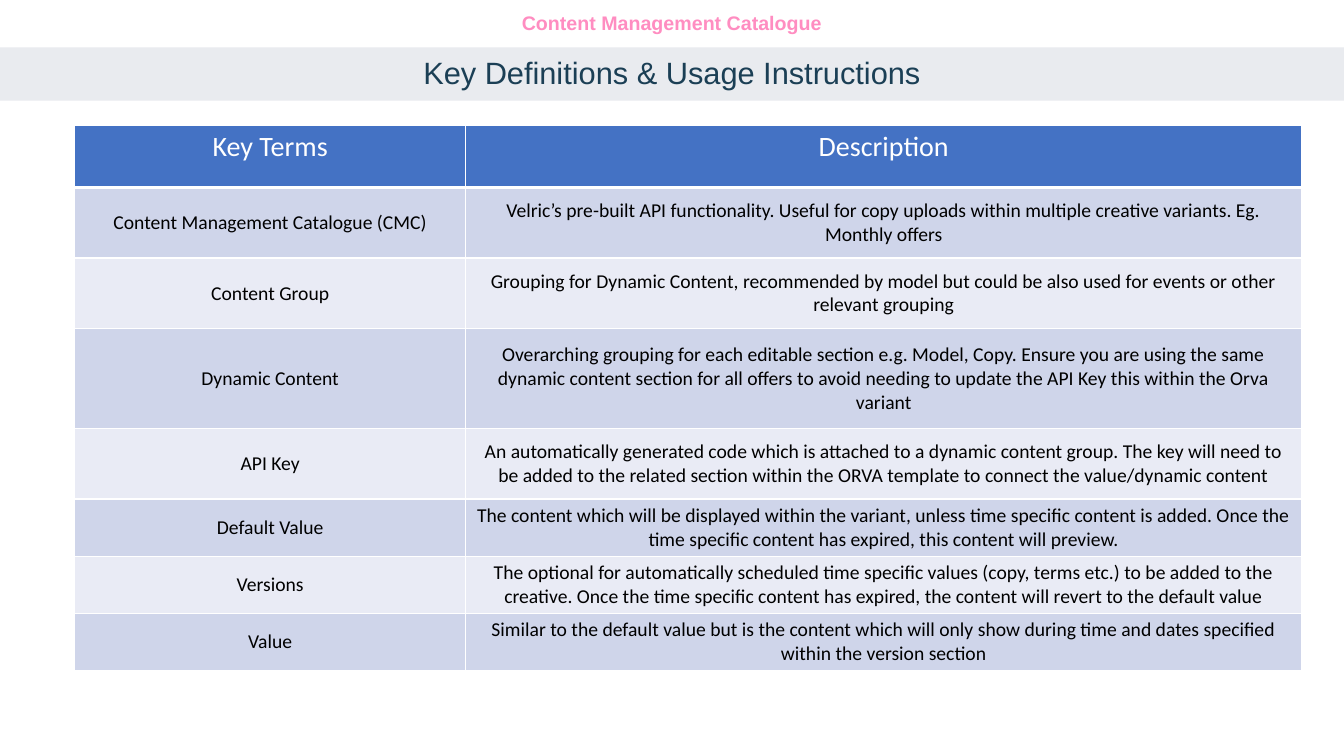
from lxml.etree import SubElement
from pptx import Presentation
from pptx.dml.color import RGBColor
from pptx.enum.shapes import MSO_SHAPE
from pptx.enum.text import MSO_ANCHOR, PP_ALIGN
from pptx.oxml.ns import qn
from pptx.util import Inches, Pt

DEFINITIONS = [
    ("Content Management Catalogue (CMC)",
     "Velric’s pre-built API functionality. Useful for copy uploads within multiple "
     "creative variants. Eg. Monthly offers"),
    ("Content Group",
     "Grouping for Dynamic Content, recommended by model but could be also used for "
     "events or other relevant grouping"),
    ("Dynamic Content",
     "Overarching grouping for each editable section e.g. Model, Copy. Ensure you are "
     "using the same dynamic content section for all offers to avoid needing to update "
     "the API Key this within the Orva variant"),
    ("API Key",
     "An automatically generated code which is attached to a dynamic content group. The "
     "key will need to be added to the related section within the ORVA template to "
     "connect the value/dynamic content"),
    ("Default Value",
     "The content which will be displayed within the variant, unless time specific "
     "content is added. Once the time specific content has expired, this content will "
     "preview."),
    ("Versions",
     "The optional for automatically scheduled time specific values (copy, terms etc.) "
     "to be added to the creative. Once the time specific content has expired, the "
     "content will revert to the default value"),
    ("Value",
     "Similar to the default value but is the content which will only show during time "
     "and dates specified within the version section"),
]


def color(code):
    return RGBColor.from_string(code)


class CatalogueSlide:
    heading_font = "Arial"
    table_font = "Calibri"
    white = "FFFFFF"
    header_fill = "4472C4"
    row_fills = ("CFD5EA", "E9EBF5")

    def __init__(self, deck):
        self.slide = deck.slides.add_slide(deck.slide_layouts[6])

    def centred_text(self, frame, words, font, size, ink, bold=False):
        paragraph = frame.paragraphs[0]
        paragraph.alignment = PP_ALIGN.CENTER
        run = paragraph.add_run()
        run.text = words
        run.font.name = font
        run.font.size = Pt(size)
        run.font.bold = bold
        run.font.color.rgb = color(ink)
        return paragraph

    def band(self, top, height, fill):
        strip = self.slide.shapes.add_shape(
            MSO_SHAPE.RECTANGLE, 0, Inches(top), Inches(13.33), Inches(height))
        strip.shadow.inherit = False
        strip.fill.solid()
        strip.fill.fore_color.rgb = color(fill)
        strip.line.fill.background()

    def heading(self, words, top, height, size, ink, bold=False):
        box = self.slide.shapes.add_textbox(0, Inches(top), Inches(13.33), Inches(height))
        frame = box.text_frame
        frame.word_wrap = True
        frame.vertical_anchor = MSO_ANCHOR.MIDDLE
        paragraph = self.centred_text(frame, words, self.heading_font, size, ink, bold)
        paragraph.line_spacing = 0.9

    def cell(self, cell, words, size, ink, fill, anchor, bottom):
        properties = cell._tc.get_or_add_tcPr()
        for side, points in (("L", 1), ("R", 1), ("T", 1), ("B", bottom)):
            border = SubElement(properties, qn(f"a:ln{side}"), w=str(Pt(points)))
            paint = SubElement(border, qn("a:solidFill"))
            SubElement(paint, qn("a:srgbClr"), val=self.white)
        cell.fill.solid()
        cell.fill.fore_color.rgb = color(fill)
        cell.vertical_anchor = anchor
        self.centred_text(cell.text_frame, words, self.table_font, size, ink)

    def table(self, header, rows, left, top, widths, heights):
        grid = self.slide.shapes.add_table(
            len(heights), len(widths), Inches(left), Inches(top),
            Inches(sum(widths)), Inches(sum(heights))).table
        for column, width in zip(grid.columns, widths):
            column.width = Inches(width)
        for row, height in zip(grid.rows, heights):
            row.height = Inches(height)
        for column, words in enumerate(header):
            self.cell(grid.cell(0, column), words, 20, self.white,
                      self.header_fill, MSO_ANCHOR.TOP, 3)
        for index, row in enumerate(rows):
            for column, words in enumerate(row):
                self.cell(grid.cell(index + 1, column), words, 14, "000000",
                          self.row_fills[index % 2], MSO_ANCHOR.MIDDLE, 1)


def main():
    deck = Presentation()
    deck.slide_width = Inches(13.33)
    deck.slide_height = Inches(7.5)
    page = CatalogueSlide(deck)
    page.band(0.47, 0.53, "E9EBEF")
    page.heading("Key Definitions & Usage Instructions", 0.47, 0.53, 22, "1B3F55")
    page.heading("Content Management Catalogue", 0, 0.47, 14, "FF8DC1", bold=True)
    page.table(("Key Terms", "Description"), DEFINITIONS, 0.74, 1.24,
               (3.88, 8.29), (0.62, 0.7, 0.7, 0.99, 0.7, 0.5, 0.5, 0.5))
    deck.save("out.pptx")


if __name__ == "__main__":
    main()
